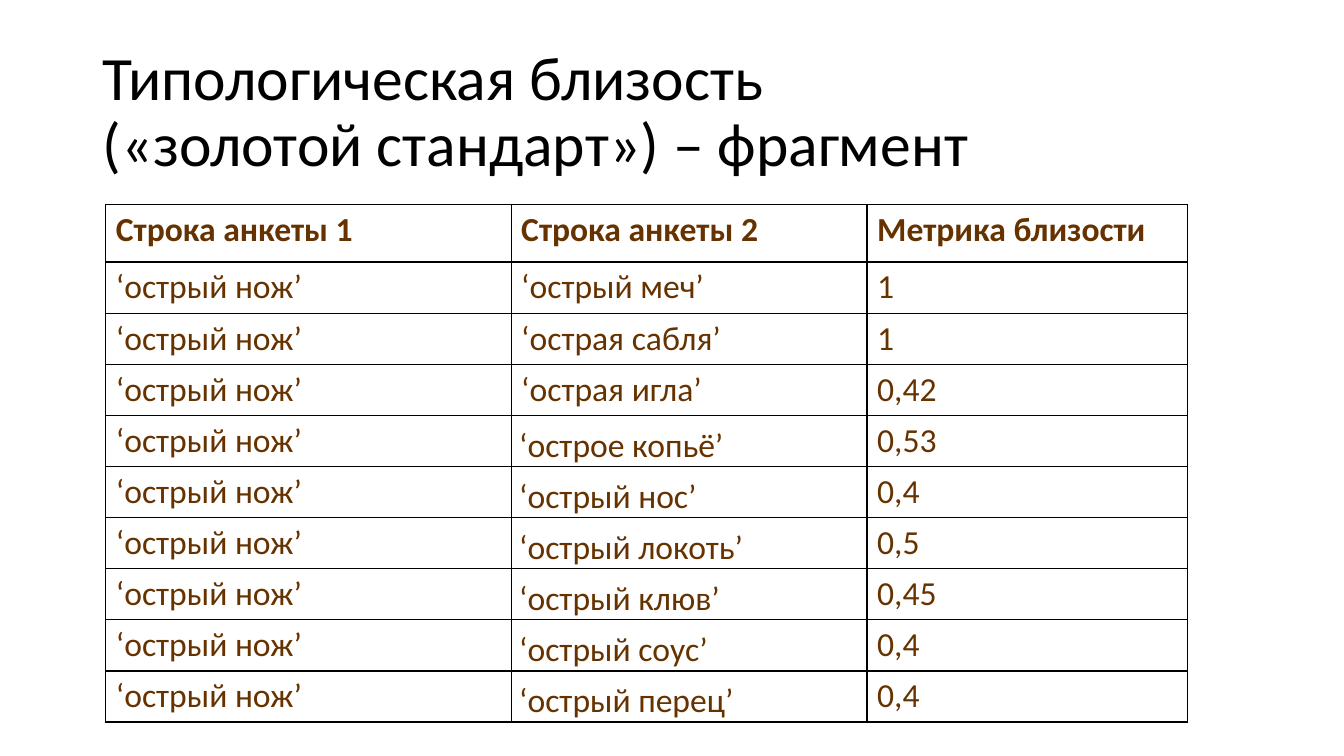
"""Build the slide with a table of typological closeness."""
from lxml.etree import SubElement
from pptx import Presentation
from pptx.dml.color import RGBColor
from pptx.enum.text import MSO_ANCHOR as Anchor, MSO_AUTO_SIZE as AutoSize, PP_ALIGN as Align
from pptx.oxml.ns import qn
from pptx.util import Inches, Pt

TITLE = "Типологическая близость\v(«золотой стандарт») – фрагмент"
HEADER = ("Строка анкеты 1", "Строка анкеты 2", "Метрика близости")
BASE = "‘острый нож’"
PAIRS = [
    ("‘острый меч’", "1"),
    ("‘острая сабля’", "1"),
    ("‘острая игла’", "0,42"),
    ("‘острое копьё’", "0,53"),
    ("‘острый нос’", "0,4"),
    ("‘острый локоть’", "0,5"),
    ("‘острый клюв’", "0,45"),
    ("‘острый соус’", "0,4"),
    ("‘острый перец’", "0,4"),
]
COLORS = {"title": "000000", "text": "663300", "border": "000000"}
FONT = "Calibri"
COLUMN_WIDTHS = (4.02, 3.53, 3.18)
HEADER_HEIGHT, ROW_HEIGHT = 0.57, 0.49
FIRST_BOTTOM_ROW = 4


def style_runs(para, size, color, bold=False):
    for run in para.runs:
        run.font.name = FONT
        run.font.size = Pt(size)
        run.font.bold = bold
        run.font.color.rgb = RGBColor.from_string(COLORS[color])


def add_borders(cell):
    properties = cell._tc.get_or_add_tcPr()
    for side in ("lnL", "lnR", "lnT", "lnB"):
        line = SubElement(properties, qn(f"a:{side}"), w=str(Pt(1)))
        fill = SubElement(line, qn("a:solidFill"))
        SubElement(fill, qn("a:srgbClr"), val=COLORS["border"])


def add_title(slide):
    title = slide.shapes.title
    title.left, title.top = Inches(0.92), Inches(0.4)
    title.width, title.height = Inches(11.5), Inches(1.45)
    frame = title.text_frame
    frame.text = TITLE
    frame.auto_size = AutoSize.NONE
    frame.vertical_anchor = Anchor.MIDDLE
    para = frame.paragraphs[0]
    para.alignment = Align.LEFT
    para.line_spacing = 0.9
    style_runs(para, 44, "title")


def add_closeness_table(slide):
    rows = [HEADER] + [(BASE, *pair) for pair in PAIRS]
    height = HEADER_HEIGHT + ROW_HEIGHT * len(PAIRS)
    table = slide.shapes.add_table(
        len(rows), len(HEADER), Inches(1.05), Inches(2.03),
        Inches(sum(COLUMN_WIDTHS)), Inches(height)).table
    table.horz_banding = False
    for column, width in zip(table.columns, COLUMN_WIDTHS):
        column.width = Inches(width)
    for r, values in enumerate(rows):
        table.rows[r].height = Inches(ROW_HEIGHT if r else HEADER_HEIGHT)
        for c, value in enumerate(values):
            cell = table.cell(r, c)
            cell.text = value
            style_runs(cell.text_frame.paragraphs[0], 24, "text", bold=r == 0)
            if c == 1 and r >= FIRST_BOTTOM_ROW:
                cell.vertical_anchor = Anchor.BOTTOM
                cell.margin_left = Inches(0.08)
                cell.margin_right = cell.margin_top = Inches(0.01)
                cell.margin_bottom = 0
            add_borders(cell)
            cell.fill.background()


def main():
    deck = Presentation()
    deck.slide_width, deck.slide_height = Inches(13.33), Inches(7.5)
    slide = deck.slides.add_slide(deck.slide_layouts[5])
    add_title(slide)
    add_closeness_table(slide)
    deck.save("out.pptx")


if __name__ == "__main__":
    main()
